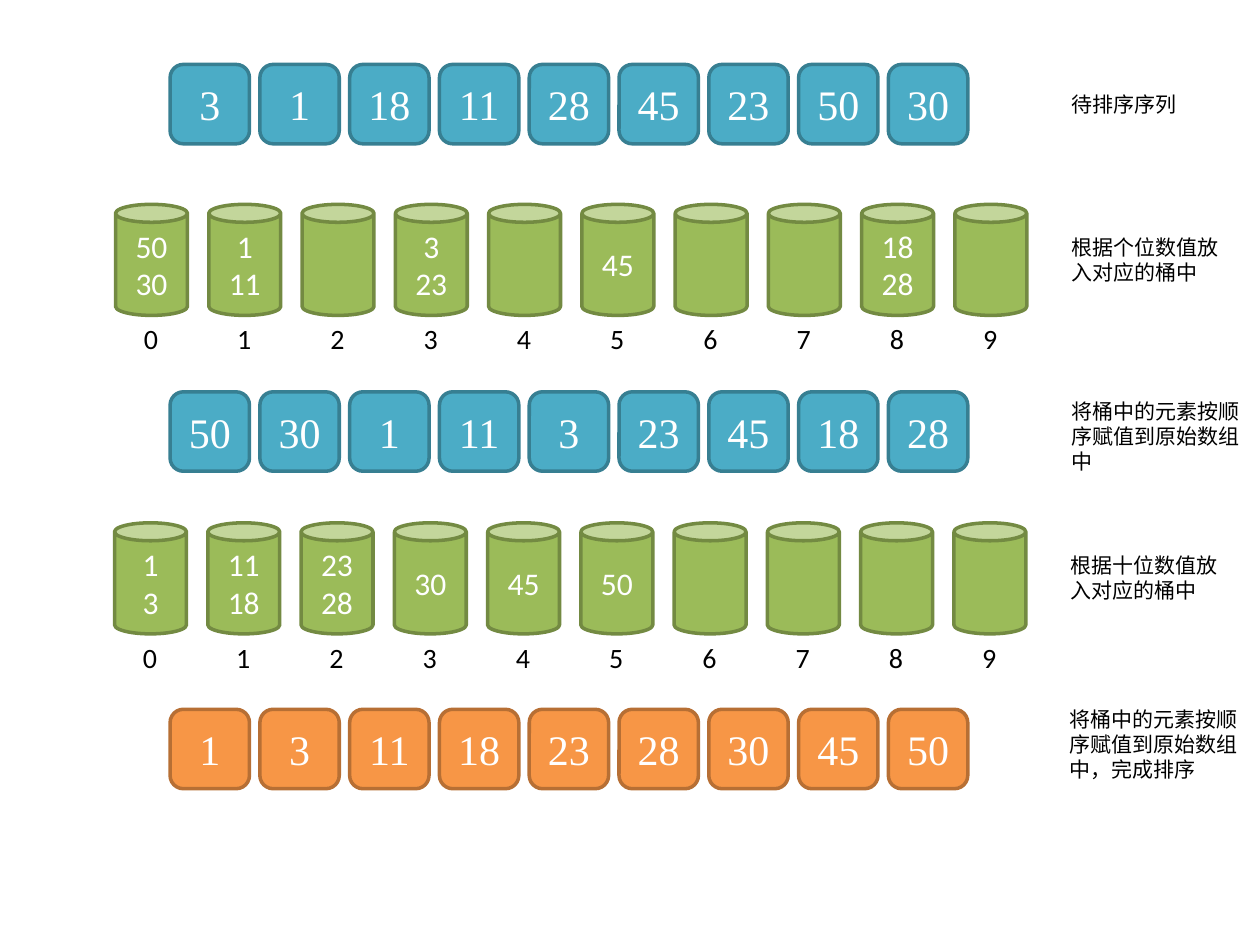
from lxml import etree
from pptx import Presentation
from pptx.dml.color import RGBColor
from pptx.enum import shapes, text
from pptx.oxml.ns import qn
from pptx.util import Cm, Pt

BLUE, NAVY = RGBColor(0x4B, 0xAC, 0xC6), RGBColor(0x37, 0x7F, 0x92)
GREEN, OLIVE = RGBColor(0x9B, 0xBB, 0x59), RGBColor(0x73, 0x8A, 0x42)
ORANGE, BROWN = RGBColor(0xF7, 0x96, 0x46), RGBColor(0xB7, 0x6F, 0x34)
WHITE, BLACK = RGBColor(0xFF, 0xFF, 0xFF), RGBColor(0, 0, 0)
SERIF, SANS, HAN = "Times New Roman", "Calibri", "Noto Sans CJK JP"

# Lengths in cm: top, fill, line, values
ROWS = [
    (1.3, BLUE, NAVY, [3, 1, 18, 11, 28, 45, 23, 50, 30]),
    (7.9, BLUE, NAVY, [50, 30, 1, 11, 3, 23, 45, 18, 28]),
    (14.3, ORANGE, BROWN, [1, 3, 11, 18, 23, 28, 30, 45, 50]),
]
# Left, top, contents by digit
BUCKETS = [
    (2.33, 4.12, {0: [50, 30], 1: [1, 11], 3: [3, 23], 5: [45], 8: [18, 28]}),
    (2.31, 10.54, {0: [1, 3], 1: [11, 18], 2: [23, 28], 3: [30], 4: [45], 5: [50]}),
]
# Left, top, width, height, wording
NOTES = [
    (21.36, 1.73, 3.6, 0.76, "待排序序列"),
    (21.36, 4.6, 3.6, 1.27, "根据个位数值放入对应的桶中"),
    (21.36, 7.9, 3.89, 1.8, "将桶中的元素按顺序赋值到原始数组中"),
    (21.34, 11.02, 3.6, 1.27, "根据十位数值放入对应的桶中"),
    (21.31, 14.12, 3.89, 2.31, "将桶中的元素按顺序赋值到原始数组中，完成排序"),
]
BOX, BOX_LEFT, BOX_STEP = 1.6, 3.43, 1.81
CAN_W, CAN_H, CAN_STEP = 1.45, 2.24, 1.88
TAG_W, TAG_H = 0.81, 0.94


def write(frame, lines, size, face, color, align=None):
    frame.text = "\n".join(str(line) for line in lines)
    for par in frame.paragraphs:
        par.alignment = align
        font = par.font
        font.size, font.name, font.color.rgb = Pt(size), face, color
        if face == HAN:
            props = par._p.pPr.find(qn("a:defRPr"))
            etree.SubElement(props, qn("a:ea"), typeface=face)


def solid(kind, place, fill, line, lines, size, face):
    shape = slide.shapes.add_shape(kind, *map(Cm, place))
    shape.shadow.inherit = False
    shape.fill.solid()
    shape.fill.fore_color.rgb = fill
    shape.line.color.rgb = line
    shape.line.width = Pt(2)
    shape.text_frame.vertical_anchor = text.MSO_ANCHOR.MIDDLE
    if lines:
        write(shape.text_frame, lines, size, face, WHITE, text.PP_ALIGN.CENTER)


def label(place, words, size, face, wrap):
    frame = slide.shapes.add_textbox(*map(Cm, place)).text_frame
    frame.word_wrap = wrap
    frame.auto_size = text.MSO_AUTO_SIZE.SHAPE_TO_FIT_TEXT
    write(frame, [words], size, face, BLACK)


deck = Presentation()
deck.slide_width, deck.slide_height = Cm(25.4), Cm(19.05)
slide = deck.slides.add_slide(deck.slide_layouts[6])

for top, fill, line, values in ROWS:
    for i, value in enumerate(values):
        place = (BOX_LEFT + i * BOX_STEP, top, BOX, BOX)
        solid(shapes.MSO_SHAPE.ROUNDED_RECTANGLE, place, fill, line, [value], 24, SERIF)

for left, top, held in BUCKETS:
    for digit in range(10):
        x = left + digit * CAN_STEP
        solid(shapes.MSO_SHAPE.CAN, (x, top, CAN_W, CAN_H), GREEN, OLIVE,
              held.get(digit), 18, SANS)
        tag = (x + (CAN_W - TAG_W) / 2, top + CAN_H, TAG_W, TAG_H)
        label(tag, digit, 16, SANS, False)

for *place, words in NOTES:
    label(place, words, 12, HAN, True)

deck.save("out.pptx")
